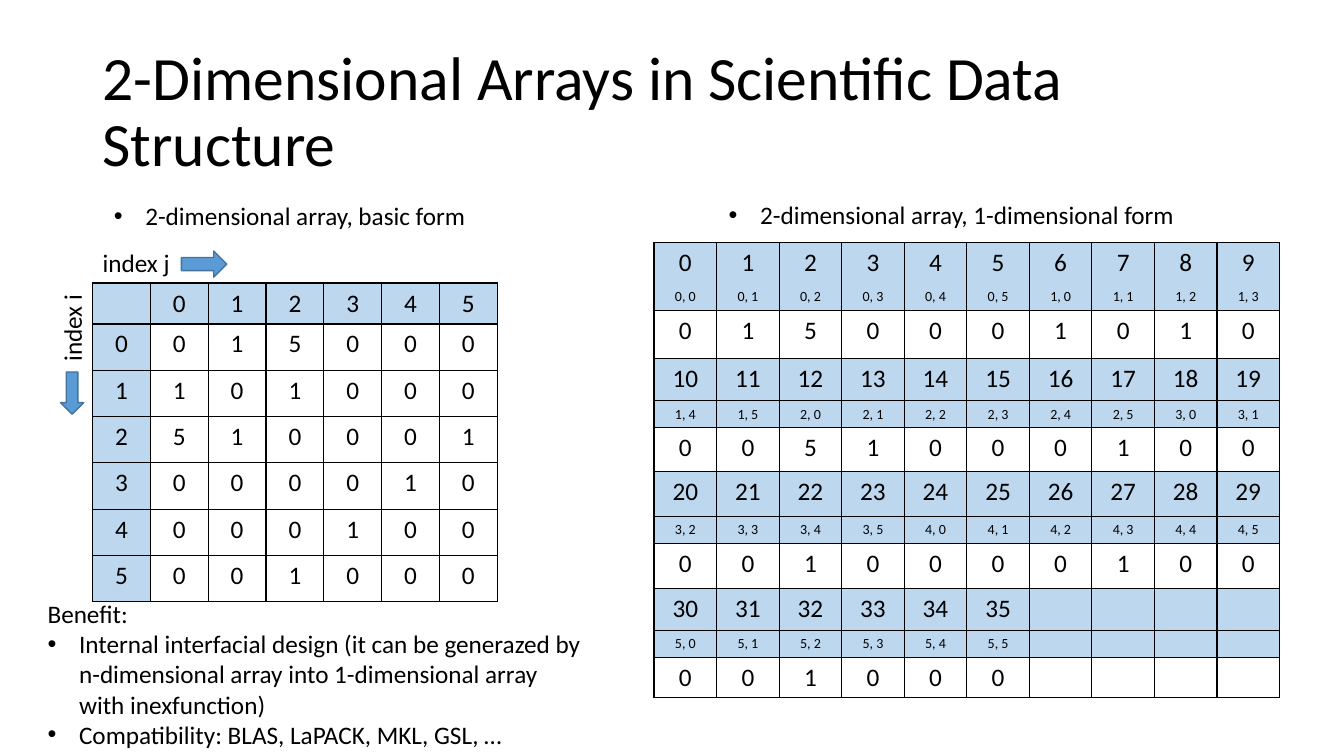
from itertools import chain
from lxml.etree import SubElement
from pptx import Presentation
from pptx.dml.color import RGBColor
from pptx.enum.shapes import MSO_SHAPE
from pptx.enum.text import MSO_ANCHOR, MSO_AUTO_SIZE, PP_ALIGN
from pptx.oxml import parse_xml
from pptx.oxml.ns import nsdecls, qn
from pptx.util import Pt

COLORS = {"text": "000000", "head": "BDD7EE", "arrow": "5B9BD5", "arrow_line": "43739E"}
PLAIN_TABLE = "{2D5ABB26-0587-4C30-8999-92F81FD0307C}"
MATRIX = [
    [0, 1, 5, 0, 0, 0],
    [1, 0, 1, 0, 0, 0],
    [5, 1, 0, 0, 0, 1],
    [0, 0, 0, 0, 1, 0],
    [0, 0, 0, 1, 0, 0],
    [0, 0, 1, 0, 0, 0],
]
N = len(MATRIX)
PER_ROW = 10


def rgb(name):
    return RGBColor.from_string(COLORS[name])


class Deck:
    font = "Calibri"
    size = 18
    indent = 22.5

    def __init__(self):
        self.prs = Presentation()
        self.prs.slide_width, self.prs.slide_height = Pt(960), Pt(540)
        self.s = self.prs.slides.add_slide(self.prs.slide_layouts[1])

    def place(self, sp, x, y, w, h):
        sp.left, sp.top, sp.width, sp.height = Pt(x), Pt(y), Pt(w), Pt(h)

    def style(self, p, size):
        for r in p.runs:
            r.font.name, r.font.size = self.font, Pt(size)
            r.font.color.rgb = rgb("text")

    def bullet(self, p, shown):
        pPr = p._p.get_or_add_pPr()
        indent = Pt(self.indent) if shown else 0
        pPr.set("marL", str(indent))
        pPr.set("indent", str(-indent))
        if shown:
            SubElement(pPr, qn("a:buFont"), typeface="Arial")
            SubElement(pPr, qn("a:buChar"), char="•")
        else:
            SubElement(pPr, qn("a:buNone"))

    def title(self, text, x, y, w, h):
        sp = self.s.shapes.title
        self.place(sp, x, y, w, h)
        tf = sp.text_frame
        tf.text = text
        tf.vertical_anchor = MSO_ANCHOR.MIDDLE
        tf.auto_size = MSO_AUTO_SIZE.NONE
        p = tf.paragraphs[0]
        p.alignment, p.line_spacing = PP_ALIGN.LEFT, 0.9
        self.style(p, 44)

    def body(self, lead, items, x, y, w, h):
        sp = self.s.placeholders[1]
        self.place(sp, x, y, w, h)
        tf = sp.text_frame
        tf.text = "\n".join([lead, *items])
        tf.auto_size = MSO_AUTO_SIZE.NONE
        for i, p in enumerate(tf.paragraphs):
            p.space_before = Pt(0)
            self.bullet(p, i > 0)
            self.style(p, self.size)

    def label(self, text, x, y, w, h, bulleted=False, rotation=0):
        sp = self.s.shapes.add_textbox(Pt(x), Pt(y), Pt(w), Pt(h))
        sp.rotation = rotation
        tf = sp.text_frame
        tf.text = text
        tf.word_wrap = False
        p = tf.paragraphs[0]
        if bulleted:
            self.bullet(p, True)
        self.style(p, self.size)

    def arrow(self, kind, x, y, w, h):
        sp = self.s.shapes.add_shape(kind, Pt(x), Pt(y), Pt(w), Pt(h))
        sp.shadow.inherit = False
        sp.fill.solid()
        sp.fill.fore_color.rgb = rgb("arrow")
        sp.line.color.rgb = rgb("arrow_line")
        sp.line.width = Pt(1)

    def cell(self, cell, text, size, head, sides):
        cell.text = str(text)
        p = cell.text_frame.paragraphs[0]
        p.alignment = PP_ALIGN.CENTER
        self.style(p, size)
        if not p.runs:
            SubElement(p._p, qn("a:endParaRPr"), sz=str(size * 100))
        if head:
            cell.fill.solid()
            cell.fill.fore_color.rgb = rgb("head")
        else:
            cell.fill.background()
        tcPr = cell._tc.get_or_add_tcPr()
        for i, side in enumerate(sides):
            tcPr.insert(i, parse_xml(
                f'<a:ln{side} {nsdecls("a")} w="{Pt(1)}"><a:solidFill>'
                f'<a:srgbClr val="{COLORS["text"]}"/></a:solidFill></a:ln{side}>'))

    def table(self, x, y, col_width, heights, rows, styles):
        cols = len(rows[0])
        frame = self.s.shapes.add_table(
            len(rows), cols, Pt(x), Pt(y), Pt(col_width * cols), Pt(sum(heights)))
        tbl = frame.table
        tbl.first_row = tbl.horz_banding = False
        tbl._tbl.tblPr.find(qn("a:tableStyleId")).text = PLAIN_TABLE
        for col in tbl.columns:
            col.width = Pt(col_width)
        for i, (values, height, (size, heads, sides)) in enumerate(zip(rows, heights, styles)):
            tbl.rows[i].height = Pt(height)
            for j, value in enumerate(values):
                self.cell(tbl.cell(i, j), value, size, j < heads, sides)


def flat_rows():
    flat = list(chain.from_iterable(MATRIX))
    rows = []
    for start in range(0, len(flat), PER_ROW):
        ks = range(start, min(start + PER_ROW, len(flat)))
        blank = [""] * (PER_ROW - len(ks))
        rows.append([*ks] + blank)
        rows.append([f"{k // N}, {k % N}" for k in ks] + blank)
        rows.append([flat[k] for k in ks] + blank)
    return rows


def main():
    d = Deck()
    d.title("2-Dimensional Arrays in Scientific Data Structure", 66, 28.75, 828, 104.4)
    d.body("Benefit:", [
        "Internal interfacial design (it can be generazed by n-dimensional array "
        "into 1-dimensional array with inexfunction)",
        "Compatibility: BLAS, LaPACK, MKL, GSL, …",
    ], 26.8, 423.6, 401, 116.4)

    grid = [["", *range(N)]] + [[i, *row] for i, row in enumerate(MATRIX)]
    d.table(66.2, 202.2, 41.3, [29.2] + [33.1] * N, grid,
            [(18, N + 1, "LRTB")] + [(18, 1, "LRTB")] * N)
    d.label("index j", 66.2, 173.4, 63.4, 29)
    d.label("index i", 20.2, 219.6, 62.6, 29, rotation=270)
    d.arrow(MSO_SHAPE.DOWN_ARROW, 43.2, 265.7, 16.6, 30.2)
    d.arrow(MSO_SHAPE.RIGHT_ARROW, 129.6, 179.3, 32.4, 18.7)
    d.label("2-dimensional array, basic form", 74.2, 139.7, 268.6, 29, bulleted=True)
    d.label("2-dimensional array, 1-dimensional form", 513.4, 139, 336.2, 29, bulleted=True)

    heights = [29, 19.3, 34.6, 30, 19.3, 31, 32.3, 19.3, 32.4, 29.7, 19.3, 29]
    group = [(18, PER_ROW, "LRT"), (10, PER_ROW, "LRB"), (18, 0, "LRTB")]
    d.table(467.2, 173.4, 44.7, heights, flat_rows(), group * 4)
    d.prs.save("out.pptx")


if __name__ == "__main__":
    main()
